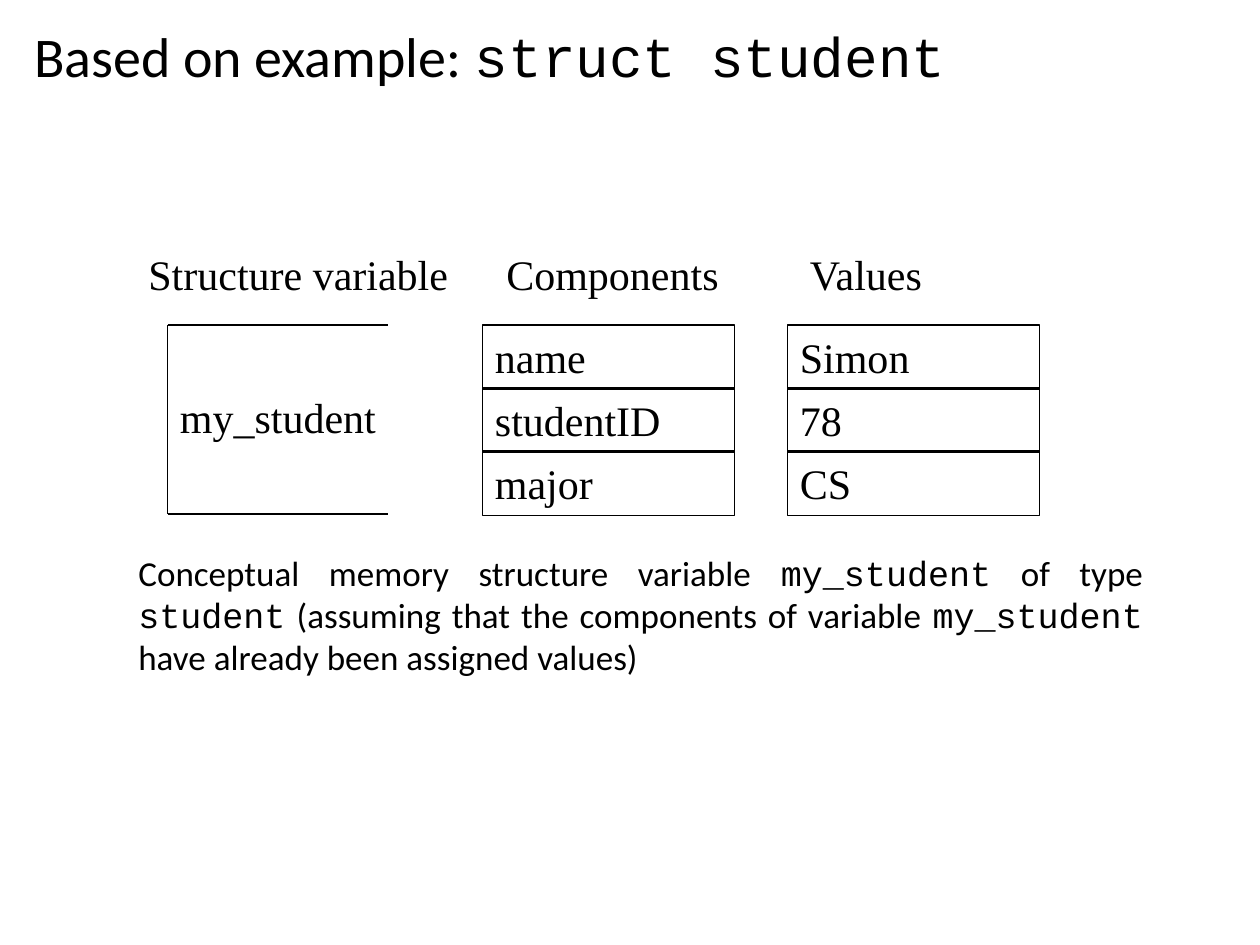
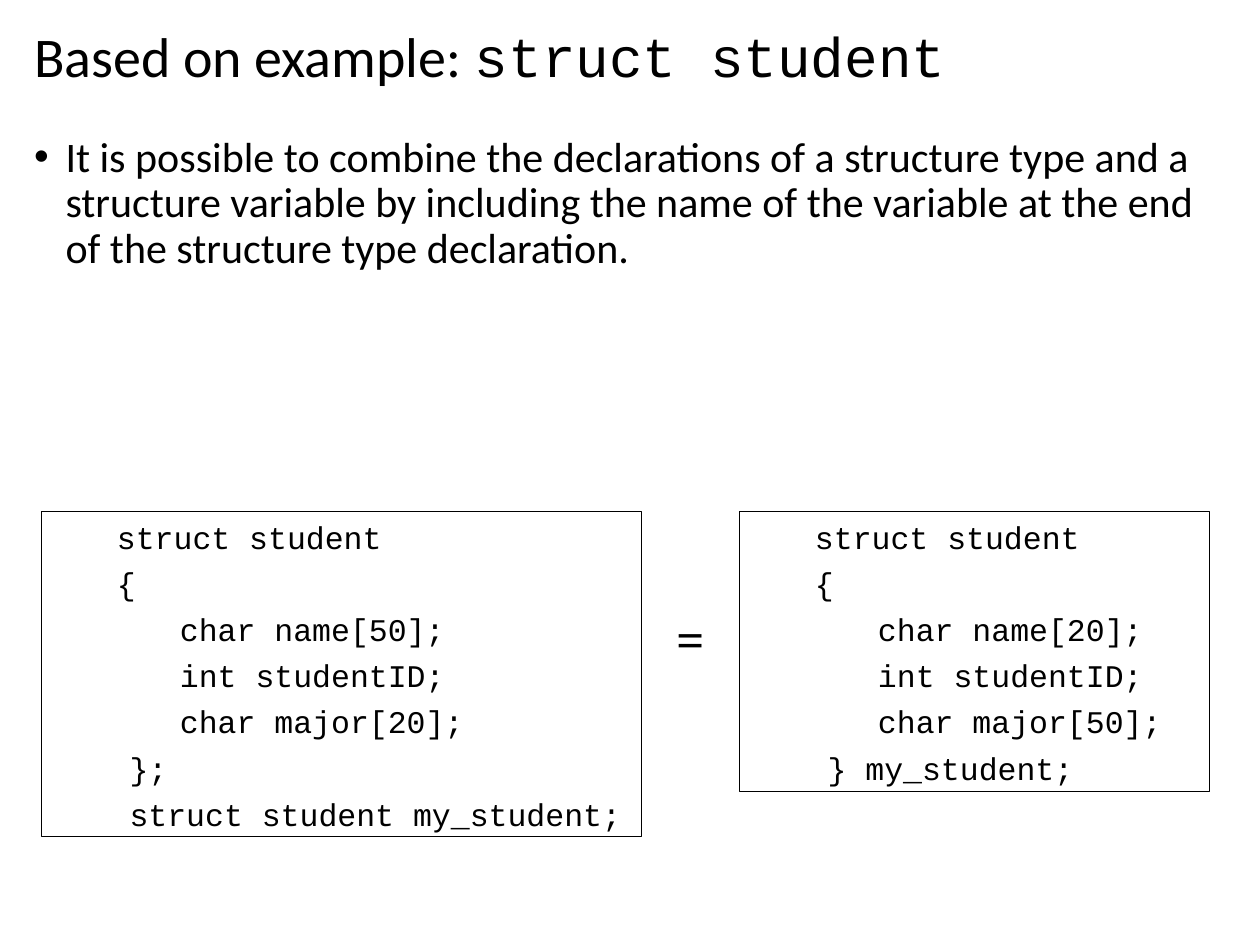
from pptx import Presentation
from pptx.dml.color import RGBColor
from pptx.enum.shapes import MSO_CONNECTOR as Connector, MSO_SHAPE as Preset
from pptx.enum.text import MSO_ANCHOR as Anchor, MSO_AUTO_SIZE as AutoSize, PP_ALIGN as Align
from pptx.oxml.ns import qn
from pptx.util import Inches, Pt
from lxml import etree


def color(value):
    return RGBColor.from_string(value)


class Deck:
    BLACK = "000000"
    SANS, MONO, SERIF = "Calibri", "Courier New", "Times New Roman"
    LINE_WIDTH = Pt(0.75)
    TITLE_LAYOUT, BODY_LAYOUT = 5, 1

    def __init__(self):
        self.presentation = Presentation()
        self.presentation.slide_width = Inches(10)
        self.presentation.slide_height = Inches(7.5)
        self.slide = None
        self.shapes = None

    def add_slide(self, layout):
        layouts = self.presentation.slide_layouts
        self.slide = self.presentation.slides.add_slide(layouts[layout])
        self.shapes = self.slide.shapes
        self.title([("Based on example: ", self.SANS), ("struct student", self.MONO)])

    def start_group(self):
        self.shapes = self.slide.shapes.add_group_shape().shapes

    def end_group(self):
        self.shapes = self.slide.shapes

    def prepare(self, shape, wrap=True):
        frame = shape.text_frame
        frame.word_wrap = wrap
        frame.auto_size = AutoSize.NONE
        frame.vertical_anchor = Anchor.TOP
        return frame

    def add_runs(self, paragraph, runs, size, bold=None):
        for text, font in runs:
            run = paragraph.add_run()
            run.text = text
            run.font.name = font
            run.font.size = Pt(size)
            run.font.bold = bold
            run.font.color.rgb = color(self.BLACK)

    def fill_placeholder(self, shape, top, height, runs, size):
        shape.left, shape.top = Inches(0.17), Inches(top)
        shape.width, shape.height = Inches(9.62), Inches(height)
        paragraph = self.prepare(shape).paragraphs[0]
        paragraph.alignment = Align.LEFT
        paragraph.line_spacing = 0.9
        self.add_runs(paragraph, runs, size)
        return paragraph

    def title(self, runs):
        self.fill_placeholder(self.slide.shapes.title, 0.18, 0.74, runs, 32)

    def bullet(self, text):
        body = self.slide.placeholders[1]
        paragraph = self.fill_placeholder(body, 1.03, 5.73, [(text, self.SANS)], 24)
        paragraph.space_before = Pt(10)
        properties = paragraph._p.get_or_add_pPr()
        properties.set("marL", str(Inches(0.25)))
        properties.set("indent", str(-Inches(0.25)))
        etree.SubElement(properties, qn("a:buChar")).set("char", "•")

    def text(self, left, top, width, height, runs, size=24, align=Align.LEFT,
             bold=None, wrap=True):
        box = self.shapes.add_textbox(*map(Inches, (left, top, width, height)))
        paragraph = self.prepare(box, wrap).paragraphs[0]
        paragraph.alignment = align
        self.add_runs(paragraph, runs, size, bold)

    def label(self, left, top, width, height, text):
        self.text(left, top, width, height, [(text, self.SERIF)])

    def box(self, left, top, width, height):
        shape = self.shapes.add_shape(
            Preset.RECTANGLE, *map(Inches, (left, top, width, height)))
        shape.shadow.inherit = False
        shape.fill.background()
        shape.line.color.rgb = color(self.BLACK)
        shape.line.width = self.LINE_WIDTH
        return self.prepare(shape)

    def cell(self, left, top, text):
        paragraph = self.box(left, top, 2, 0.51).paragraphs[0]
        paragraph.alignment = Align.LEFT
        self.add_runs(paragraph, [(text, self.SERIF)], 24)

    def code(self, left, top, width, height, lines):
        frame = self.box(left, top, width, height)
        for index, (indent, text) in enumerate(lines):
            paragraph = frame.add_paragraph() if index else frame.paragraphs[0]
            paragraph.alignment = Align.LEFT
            paragraph.space_before = Pt(4.8)
            paragraph._p.get_or_add_pPr().set("marL", str(Inches(indent)))
            self.add_runs(paragraph, [(text, self.MONO)], 18)

    def line(self, *ends):
        connector = self.shapes.add_connector(Connector.STRAIGHT, *map(Inches, ends))
        connector.line.color.rgb = color(self.BLACK)
        connector.line.width = self.LINE_WIDTH
        etree.SubElement(connector._element.spPr, qn("a:effectLst"))


def build_memory_slide(deck):
    deck.add_slide(deck.TITLE_LAYOUT)
    deck.start_group()
    for left, width, heading in [(1.08, 2.67, "Structure variable"),
                                 (3.92, 1.92, "Components"), (6.33, 1.25, "Values")]:
        deck.label(left, 1.92, width, 0.5, heading)
    top, bottom, left, right = 2.58, 4.08, 1.33, 3.08
    for column, texts in [(3.83, ("name", "studentID", "major")),
                          (6.25, ("Simon", "78", "CS"))]:
        for row, text in enumerate(texts):
            deck.cell(column, top + row * 0.5, text)
    deck.line(left, top, right, top)
    deck.line(left, bottom, right, bottom)
    deck.line(left, top, left, bottom)
    deck.label(left, 3.06, 2, 0.5, "my_student")
    deck.end_group()
    deck.text(1, 4.33, 8.17, 1.11, [
        ("Conceptual memory structure variable ", deck.SANS),
        ("my_student", deck.MONO),
        (" of type ", deck.SANS),
        ("student", deck.MONO),
        (" (assuming that the components of variable ", deck.SANS),
        ("my_student", deck.MONO),
        (" have already been assigned values)", deck.SANS),
    ], size=20, align=Align.JUSTIFY)


def struct_lines(name_size, major_size, endings):
    members = [f"char name[{name_size}];", "int studentID;", f"char major[{major_size}];"]
    return ([(0.5, "struct student"), (0.5, "{")]
            + [(1, member) for member in members]
            + [(0.6, ending) for ending in endings])


def build_declaration_slide(deck):
    deck.add_slide(deck.BODY_LAYOUT)
    deck.bullet("It is possible to combine the declarations of a structure type and a "
                "structure variable by including the name of the variable at the end "
                "of the structure type declaration.")
    deck.code(0.33, 4.06, 4.76, 2.58,
              struct_lines(50, 20, ["};", "struct student my_student;"]))
    deck.code(5.87, 4.06, 3.73, 2.22, struct_lines(20, 50, ["} my_student;"]))
    deck.text(5.27, 4.78, 0.42, 0.57, [("=", deck.SERIF)], size=28, bold=True, wrap=False)


deck = Deck()
build_memory_slide(deck)
build_declaration_slide(deck)
deck.presentation.save("out.pptx")
